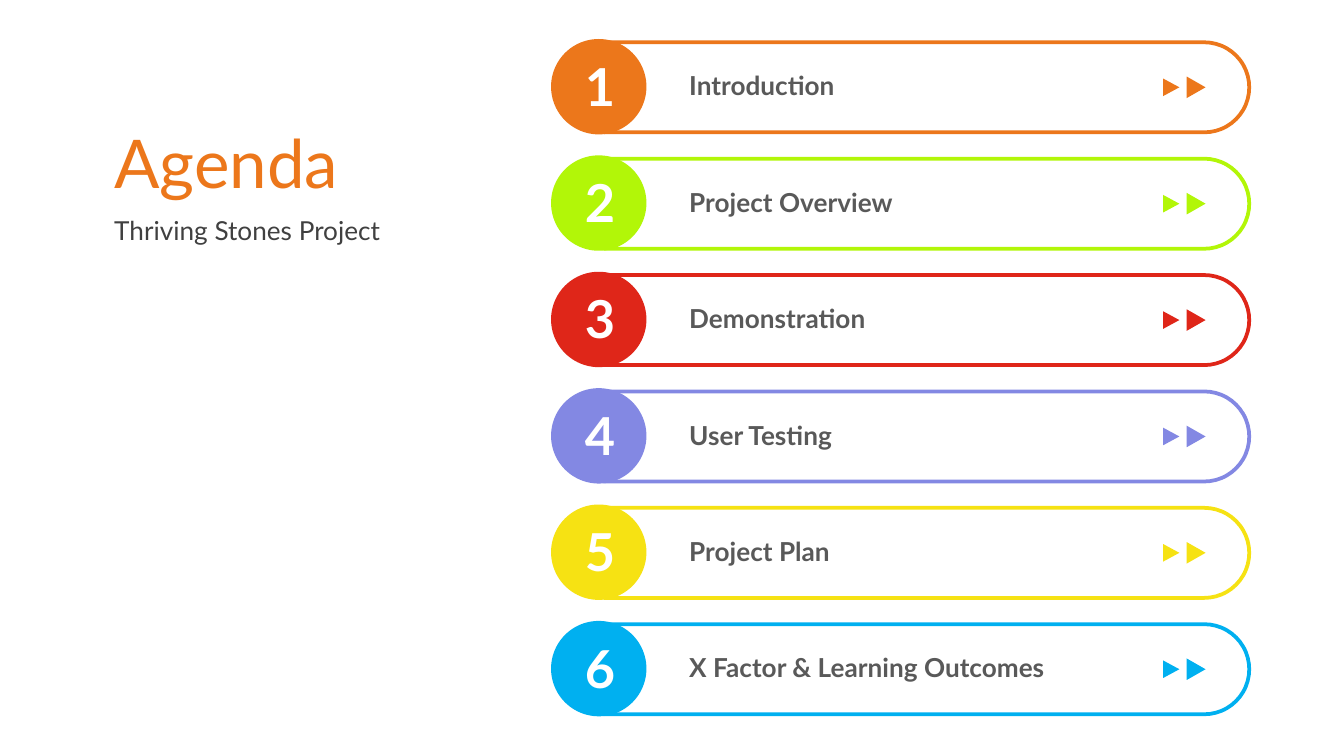
from pptx import Presentation
from pptx.dml.color import RGBColor
from pptx.enum.shapes import MSO_SHAPE
from pptx.enum.text import MSO_ANCHOR, MSO_AUTO_SIZE, PP_ALIGN
from pptx.util import Inches, Pt


def color(hex_string):
    return RGBColor.from_string(hex_string)


def write(shape, text, size, hex_string, bold=False, align=PP_ALIGN.LEFT, anchor=MSO_ANCHOR.MIDDLE):
    frame = shape.text_frame
    frame.text = text
    frame.vertical_anchor = anchor
    paragraph = frame.paragraphs[0]
    paragraph.alignment = align
    paragraph.space_before = Pt(0)
    font = paragraph.runs[0].font
    font.name = "Lato"
    font.size = Pt(size)
    font.bold = bold
    font.color.rgb = color(hex_string)


presentation = Presentation()
presentation.slide_width = Inches(10)
presentation.slide_height = Inches(10) * 9 // 16
slide = presentation.slides.add_slide(presentation.slide_layouts[0])
shapes = slide.shapes

title, subtitle = slide.placeholders
headings = [
    (title, "Agenda", 36, "EC771B", 0.53, 1.34),
    (subtitle, "Thriving Stones Project", 14, "404040", 1.4, 0.63),
]
for placeholder, text, size, hex_string, top, height in headings:
    placeholder.left, placeholder.top = Inches(0.75), Inches(top)
    placeholder.width, placeholder.height = Inches(2.83), Inches(height)
    write(placeholder, text, size, hex_string)
    placeholder.text_frame.auto_size = MSO_AUTO_SIZE.NONE

agenda = [
    ("Introduction", "EC771B"),
    ("Project Overview", "B2F608"),
    ("Demonstration", "DF2619"),
    ("User Testing", "8388E3"),
    ("Project Plan", "F6E213"),
    ("X Factor & Learning Outcomes", "00B0F0"),
]
first_middle, last_middle = 0.65, 4.98
row_step = (last_middle - first_middle) / (len(agenda) - 1)

for index, (topic, hex_string) in enumerate(agenda):
    middle = first_middle + index * row_step

    bar = shapes.add_shape(MSO_SHAPE.ROUND_2_SAME_RECTANGLE, Inches(6.56), Inches(middle - 2.4),
                           Inches(0.67), Inches(4.8))
    bar.rotation = 90
    bar.adjustments[0] = 0.5
    bar.adjustments[1] = 0
    bar.shadow.inherit = False
    bar.fill.solid()
    bar.fill.fore_color.rgb = color("FFFFFF")
    bar.line.color.rgb = color(hex_string)
    bar.line.width = Pt(2)

    circle = shapes.add_shape(MSO_SHAPE.OVAL, Inches(4.1), Inches(middle - 0.36),
                              Inches(0.71), Inches(0.71))
    arrows = shapes.add_group_shape()
    small_arrow = arrows.shapes.add_shape(MSO_SHAPE.ISOSCELES_TRIANGLE, Inches(8.65),
                                          Inches(middle - 0.06), Inches(0.13), Inches(0.12))
    large_arrow = arrows.shapes.add_shape(MSO_SHAPE.ISOSCELES_TRIANGLE, Inches(8.82),
                                          Inches(middle - 0.07), Inches(0.16), Inches(0.14))
    small_arrow.rotation = large_arrow.rotation = 90
    for shape in (circle, small_arrow, large_arrow):
        shape.shadow.inherit = False
        shape.fill.solid()
        shape.fill.fore_color.rgb = color(hex_string)
        shape.line.fill.background()

    number = shapes.add_textbox(Inches(4.25), Inches(middle - 0.3), Inches(0.43), Inches(0.57))
    write(number, str(index + 1), 28, "FFFFFF", True, PP_ALIGN.CENTER)
    number.text_frame.word_wrap = False

    label = shapes.add_textbox(Inches(5.03), Inches(middle - 0.18), Inches(3.08), Inches(0.34))
    write(label, topic, 14, "595959", True, anchor=MSO_ANCHOR.TOP)
    label.text_frame.word_wrap = True

presentation.save("out.pptx")
